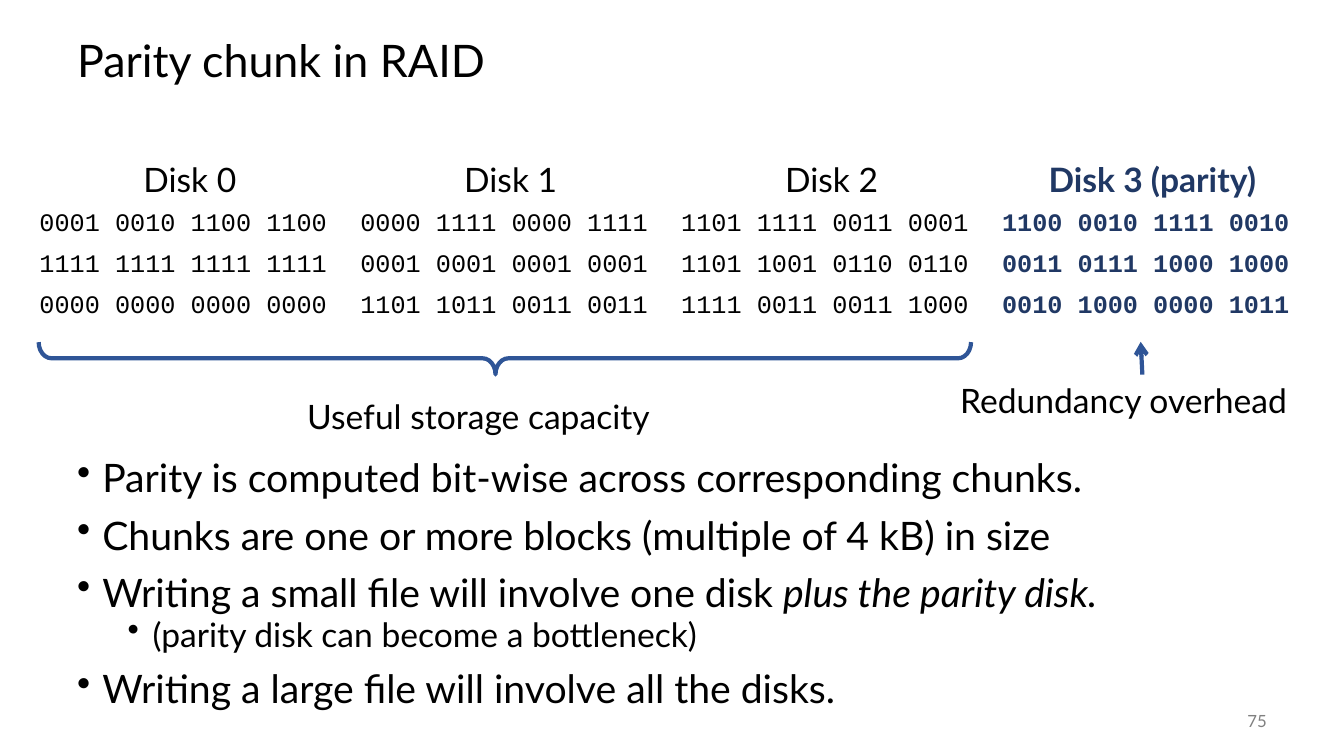
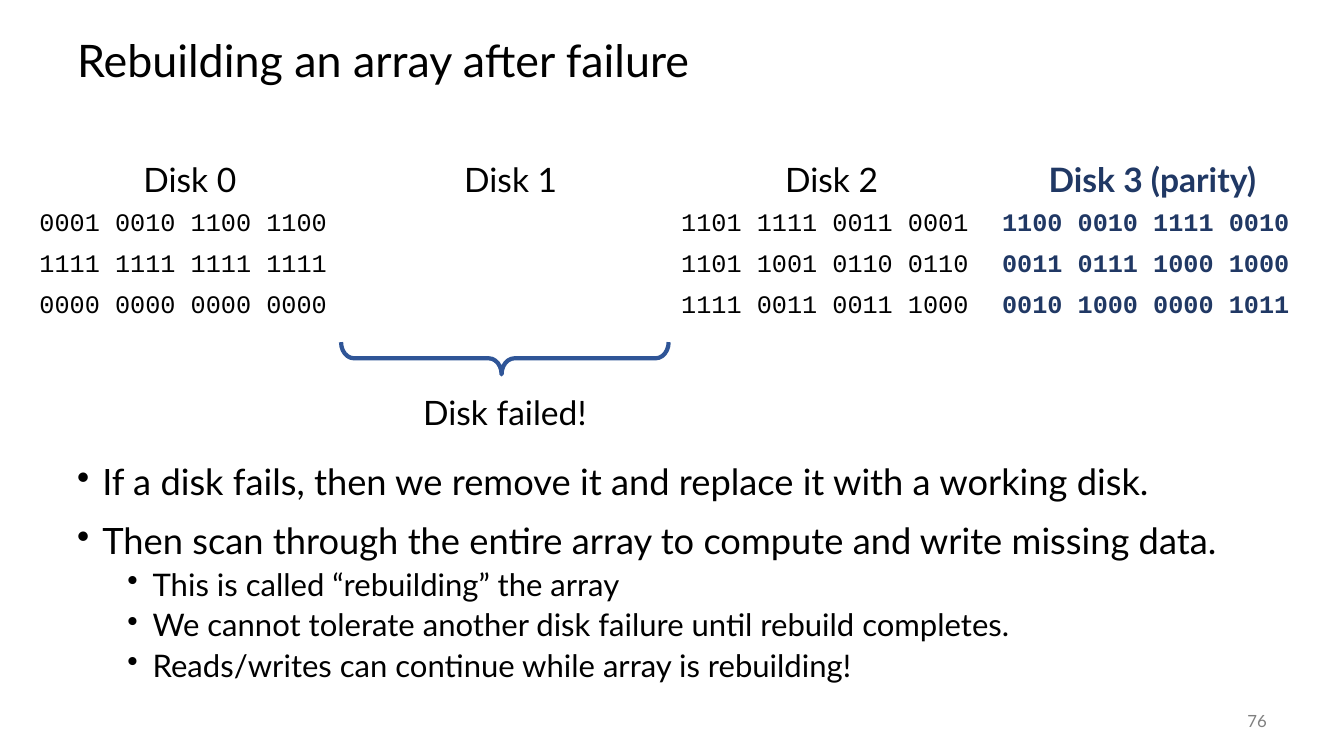
from dataclasses import dataclass

from lxml import etree
from pptx import Presentation
from pptx.dml.color import RGBColor
from pptx.enum.shapes import MSO_CONNECTOR, MSO_SHAPE
from pptx.enum.text import MSO_ANCHOR, MSO_AUTO_SIZE, PP_ALIGN
from pptx.oxml.ns import qn
from pptx.util import Inches, Pt

LEFT, CENTER, RIGHT = PP_ALIGN.LEFT, PP_ALIGN.CENTER, PP_ALIGN.RIGHT
TOP, MIDDLE = MSO_ANCHOR.TOP, MSO_ANCHOR.MIDDLE
FIT_SHAPE = MSO_AUTO_SIZE.SHAPE_TO_FIT_TEXT
BRACE, STRAIGHT = MSO_SHAPE.LEFT_BRACE, MSO_CONNECTOR.STRAIGHT
BLANK_LAYOUT = 6
COLUMNS, ROWS = 160, 90
UNIT = Inches(1 / 12)


@dataclass(frozen=True)
class Theme:
    text: str = "000000"
    parity: str = "203864"
    line: str = "2F5597"
    number: str = "808080"
    font: str = "Lato"
    code_font: str = "Courier New"
    title_size: float = 32
    label_size: float = 24
    code_size: float = 18
    number_size: float = 12
    line_width: float = 3


THEME = Theme()
DISKS = {
    "Disk 0": ["0001 0010 1100 1100", "1111 1111 1111 1111", "0000 0000 0000 0000"],
    "Disk 1": ["0000 1111 0000 1111", "0001 0001 0001 0001", "1101 1011 0011 0011"],
    "Disk 2": ["1101 1111 0011 0001", "1101 1001 0110 0110", "1111 0011 0011 1000"],
    "Disk 3 (parity)": ["1100 0010 1111 0010", "0011 0111 1000 1000", "0010 1000 0000 1011"],
}


def grid(*cells):
    return [round(cell * UNIT) for cell in cells]


def write(paragraph, text, size=THEME.label_size, color=THEME.text, font=THEME.font,
          bold=False, align=LEFT, spacing=1.0, before=0, level=None, emphasis=""):
    if level is not None:
        properties = paragraph._p.get_or_add_pPr()
        properties.set("marL", str(Inches(0.25 + 0.5 * level)))
        properties.set("indent", str(-Inches(0.25)))
        etree.SubElement(properties, qn("a:buChar")).set("char", "•")
        paragraph.level = level
    paragraph.alignment = align
    paragraph.line_spacing = spacing
    paragraph.space_before = Pt(before)
    for content, italic in ((text, False), (emphasis, True)):
        if content:
            run = paragraph.add_run()
            run.text = content
            run.font.size = Pt(size)
            run.font.name = font
            run.font.bold = bold
            run.font.italic = italic
            run.font.color.rgb = RGBColor.from_string(color)


class Deck:
    def __init__(self, theme):
        self.theme = theme
        self.presentation = Presentation()
        self.presentation.slide_width, self.presentation.slide_height = grid(COLUMNS, ROWS)
        self.slide = None

    def start_slide(self, title, number):
        layout = self.presentation.slide_layouts[BLANK_LAYOUT]
        self.slide = self.presentation.slides.add_slide(layout)
        self.text(title, 8, 3, 144, 9, anchor=MIDDLE, size=self.theme.title_size, spacing=0.9)
        self.text(str(number), 140, 83.4, 12, 4.8, anchor=MIDDLE, align=RIGHT,
                  size=self.theme.number_size, color=self.theme.number)

    def frame(self, left, top, width, height, anchor=TOP):
        frame = self.slide.shapes.add_textbox(*grid(left, top, width, height)).text_frame
        frame.word_wrap = True
        frame.vertical_anchor = anchor
        return frame

    def text(self, text, left, top, width, height, anchor=TOP, **style):
        frame = self.frame(left, top, width, height, anchor)
        write(frame.paragraphs[0], text, **style)
        return frame

    def label(self, text, left, top, width, align=LEFT):
        self.text(text, left, top, width, 6, align=align).auto_size = FIT_SHAPE

    def bullets(self, items, top, width, sizes, spacing):
        frame = self.frame(8, top, width, 87.2 - top)
        for index, (level, text, *emphasis) in enumerate(items):
            paragraph = frame.add_paragraph() if index else frame.paragraphs[0]
            before = (14, 5)[level] if index else 0
            write(paragraph, text, size=sizes[level], spacing=spacing, before=before,
                  level=level, emphasis="".join(emphasis))

    def disk_table(self, failed=None):
        heights = [6, 4.9, 4.9, 4.9]
        column_width = 38.2
        table = self.slide.shapes.add_table(
            len(heights), len(DISKS),
            *grid(3.5, 18.4, column_width * len(DISKS), sum(heights))).table
        table.first_row = table.horz_banding = False
        for row, height in zip(table.rows, grid(*heights)):
            row.height = height
        for column, (name, chunks) in enumerate(DISKS.items()):
            table.columns[column].width = grid(column_width)[0]
            parity = "parity" in name
            color = self.theme.parity if parity else self.theme.text
            for row, text in enumerate([name, *chunks]):
                cell = table.cell(row, column)
                cell.fill.background()
                if row == 0:
                    write(cell.text_frame.paragraphs[0], text, color=color, bold=parity,
                          align=CENTER)
                elif name != failed:
                    write(cell.text_frame.paragraphs[0], text, color=color, bold=parity,
                          font=self.theme.code_font, size=self.theme.code_size)

    def stroke(self, line):
        line.color.rgb = RGBColor.from_string(self.theme.line)
        line.width = Pt(self.theme.line_width)

    def brace_below(self, span, center=60.1, middle=42.65, depth=3.84):
        shape = self.slide.shapes.add_shape(
            BRACE, *grid(center - depth / 2, middle - span / 2, depth, span))
        shape.rotation = 270
        shape.adjustments[0], shape.adjustments[1] = 0.4, 0.49
        shape.shadow.inherit = False
        shape.fill.background()
        self.stroke(shape.line)

    def arrow(self, *ends):
        connector = self.slide.shapes.add_connector(STRAIGHT, *grid(*ends))
        self.stroke(connector.line)
        etree.SubElement(connector.line._get_or_add_ln(), qn("a:tailEnd")).set("type", "arrow")
        etree.SubElement(connector._element.spPr, qn("a:effectLst"))


def parity_slide(deck):
    deck.start_slide("Parity chunk in RAID", 75)
    deck.bullets([
        (0, "Parity is computed bit-wise across corresponding chunks."),
        (0, "Chunks are one or more blocks (multiple of 4 kB) in size"),
        (0, "Writing a small file will involve one disk ", "plus the parity disk."),
        (1, "(parity disk can become a bottleneck)"),
        (0, "Writing a large file will involve all the disks."),
    ], top=54.5, width=148.2, sizes=(28, 24), spacing=0.8)
    deck.disk_table()
    deck.brace_below(span=111)
    deck.arrow(136, 44.6, 135.8, 40.7)
    deck.label("Useful storage capacity", 35.4, 46.6, 44.6)
    deck.label("Redundancy overhead", 109.8, 44.6, 44.6, align=RIGHT)


def rebuild_slide(deck):
    deck.start_slide("Rebuilding an array after failure", 76)
    deck.bullets([
        (0, "If a disk fails, then we remove it and replace it with a working disk."),
        (0, "Then scan through the entire array to compute and write missing data."),
        (1, "This is called “rebuilding” the array"),
        (1, "We cannot tolerate another disk failure until rebuild completes."),
        (1, "Reads/writes can continue while array is rebuilding!"),
    ], top=54.7, width=144, sizes=(25.9, 22.2), spacing=0.9)
    deck.disk_table(failed="Disk 1")
    deck.brace_below(span=39)
    deck.label("Disk failed!", 40.6, 46.1, 39, align=CENTER)


def main():
    deck = Deck(THEME)
    parity_slide(deck)
    rebuild_slide(deck)
    deck.presentation.save("out.pptx")


if __name__ == "__main__":
    main()
